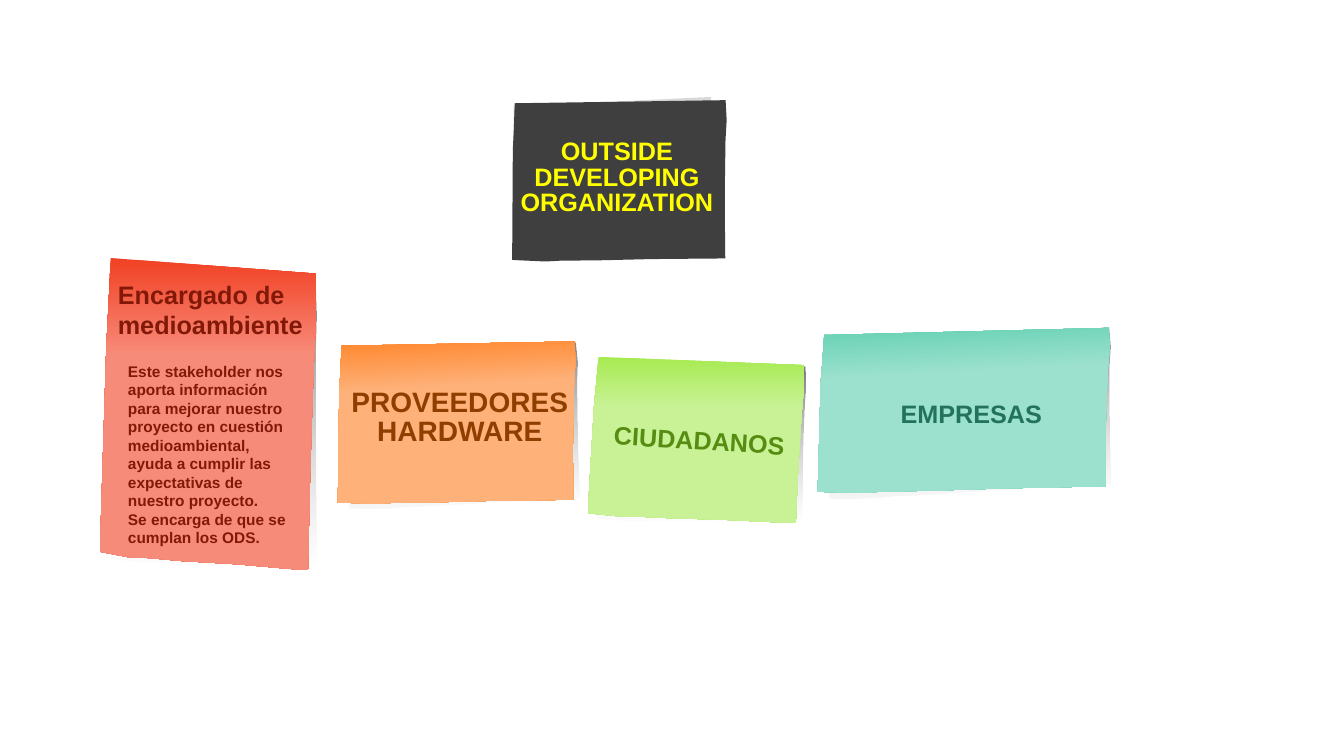
from dataclasses import dataclass

from lxml import etree
from pptx import Presentation
from pptx import util as u
from pptx.dml.color import RGBColor
from pptx.enum import text
from pptx.oxml import ns

SLIDE_W, SLIDE_H = u.Inches(13.33), u.Inches(7.5)
COLUMN, ROW = SLIDE_W / 100, SLIDE_H / 100  # grid of 100 x 100 cells

# Outline of a sticky note, as shares of its own box
NOTE_OUTLINE = [
    (1, 0.05), (1, 0.17), (0.99, 0.29), (0.98, 0.48), (0.97, 0.7), (0.96, 1),
    (0.63, 0.98), (0.38, 0.97), (0.22, 0.96), (0.15, 0.96), (0, 0.94),
    (0.03, 0.28), (0.04, 0.15), (0.05, 0),
]


@dataclass
class Box:
    left: float
    top: float
    width: float
    height: float
    rotation: float = 0

    def emu(self) -> tuple[int, int, int, int]:
        return (round(self.left * COLUMN), round(self.top * ROW),
                round(self.width * COLUMN), round(self.height * ROW))


@dataclass
class Stop:
    position: int
    color: str
    opacity: int = 100


@dataclass
class Note:
    shadow: Box
    paper: Box
    shadow_fill: list[Stop]
    paper_fill: list[Stop]


@dataclass
class Label:
    box: Box
    lines: list[str]
    size: int
    color: str
    align: text.PP_ALIGN = text.PP_ALIGN.CENTER
    spacing: float = 0.85


def shaded(top: str, body: str) -> list[Stop]:
    return [Stop(0, top), Stop(31, body), Stop(100, body)]


FADE = [Stop(0, "000000", 58), Stop(100, "949494", 0)]

NOTES = [
    # Proveedores hardware
    Note(Box(25.43, 45.6, 17.93, 21.6, 354.9), Box(24.83, 44.93, 18.23, 22, 356.9),
         FADE, shaded("FF8021", "FEB179")),
    # Ciudadanos
    Note(Box(44.25, 47.87, 15.83, 21.6, 358), Box(43.73, 47.2, 16.13, 22),
         FADE, shaded("A7EA52", "C9F296")),
    # Empresas
    Note(Box(61.2, 44, 21.83, 21.6, 354.9), Box(60.53, 43.33, 22.28, 22, 356.9),
         FADE, shaded("5DCEAF", "9CE1CE")),
    # Outside developing organization
    Note(Box(37.95, 12.93, 15.45, 21.6, 354.9), Box(37.8, 12.93, 16.5, 22, 356.9),
         [Stop(0, "D8D8D8")], [Stop(0, "3F3F3F")]),
    # Encargado de medioambiente
    Note(Box(7.95, 35.33, 15.83, 40.53, 358), Box(7.43, 34.13, 16.13, 41.33),
         FADE, shaded("F14124", "F78B79")),
]

LABELS = [
    Label(Box(25.13, 50.93, 18.15, 7.33), ["PROVEEDORES HARDWARE"], 20, "903D00"),
    Label(Box(43.58, 56.13, 16.8, 7.47, 3.5), ["CIUDADANOS"], 18, "568C11"),
    Label(Box(61.95, 52.67, 20.63, 7.6), ["EMPRESAS"], 18, "22725C"),
    Label(Box(37.73, 17.87, 16.35, 7.6), ["OUTSIDE DEVELOPING ORGANIZATION"], 18, "FFFF00"),
    Label(Box(8.03, 36.27, 15.38, 9.47), ["Encargado de", "medioambiente"],
          18, "821908", text.PP_ALIGN.LEFT, 1.0),
    Label(Box(8.78, 47.2, 13.95, 28.53),
          ["Este stakeholder nos aporta información para mejorar nuestro proyecto "
           "en cuestión medioambiental, ayuda a cumplir las expectativas de "
           "nuestro proyecto.",
           "Se encarga de que se cumplan los ODS."],
          11, "821908", text.PP_ALIGN.LEFT, 1.0),
]


def rgb(color: str) -> RGBColor:
    return RGBColor.from_string(color)


def fill_shape(shape, stops: list[Stop]) -> None:
    if len(stops) == 1:
        shape.fill.solid()
        shape.fill.fore_color.rgb = rgb(stops[0].color)
        return
    shape.fill.gradient()
    gradient = shape.fill._xPr.find(ns.qn("a:gradFill"))
    for child in list(gradient):
        gradient.remove(child)
    gradient.set("rotWithShape", "1")
    stop_list = etree.SubElement(gradient, ns.qn("a:gsLst"))
    for stop in stops:
        entry = etree.SubElement(stop_list, ns.qn("a:gs"), pos=str(stop.position * 1000))
        color = etree.SubElement(entry, ns.qn("a:srgbClr"), val=stop.color)
        if stop.opacity < 100:
            etree.SubElement(color, ns.qn("a:alpha"), val=str(stop.opacity * 1000))
    etree.SubElement(gradient, ns.qn("a:lin"), ang="5400000", scaled="0")


def draw_sheet(slide, box: Box, stops: list[Stop]) -> None:
    left, top, width, height = box.emu()
    points = [(round(left + x * width), round(top + y * height)) for x, y in NOTE_OUTLINE]
    builder = slide.shapes.build_freeform(*points[0])
    builder.add_line_segments(points[1:], close=True)
    sheet = builder.convert_to_shape()
    sheet.rotation = box.rotation
    sheet.shadow.inherit = False
    sheet.line.fill.background()
    fill_shape(sheet, stops)


def draw_note(slide, note: Note) -> None:
    draw_sheet(slide, note.shadow, note.shadow_fill)
    draw_sheet(slide, note.paper, note.paper_fill)


def draw_label(slide, label: Label) -> None:
    caption = slide.shapes.add_textbox(*label.box.emu())
    caption.rotation = label.box.rotation
    frame = caption.text_frame
    frame.word_wrap = True
    frame.text = "\n".join(label.lines)
    for paragraph in frame.paragraphs:
        paragraph.alignment = label.align
        paragraph.line_spacing = label.spacing
        font = paragraph.font
        font.name, font.size, font.bold = "Arial", u.Pt(label.size), True
        font.color.rgb = rgb(label.color)


def main() -> None:
    deck = Presentation()
    deck.slide_width, deck.slide_height = SLIDE_W, SLIDE_H
    slide = deck.slides.add_slide(deck.slide_layouts[6])
    for note in NOTES:
        draw_note(slide, note)
    for label in LABELS:
        draw_label(slide, label)
    deck.save("out.pptx")


if __name__ == "__main__":
    main()
